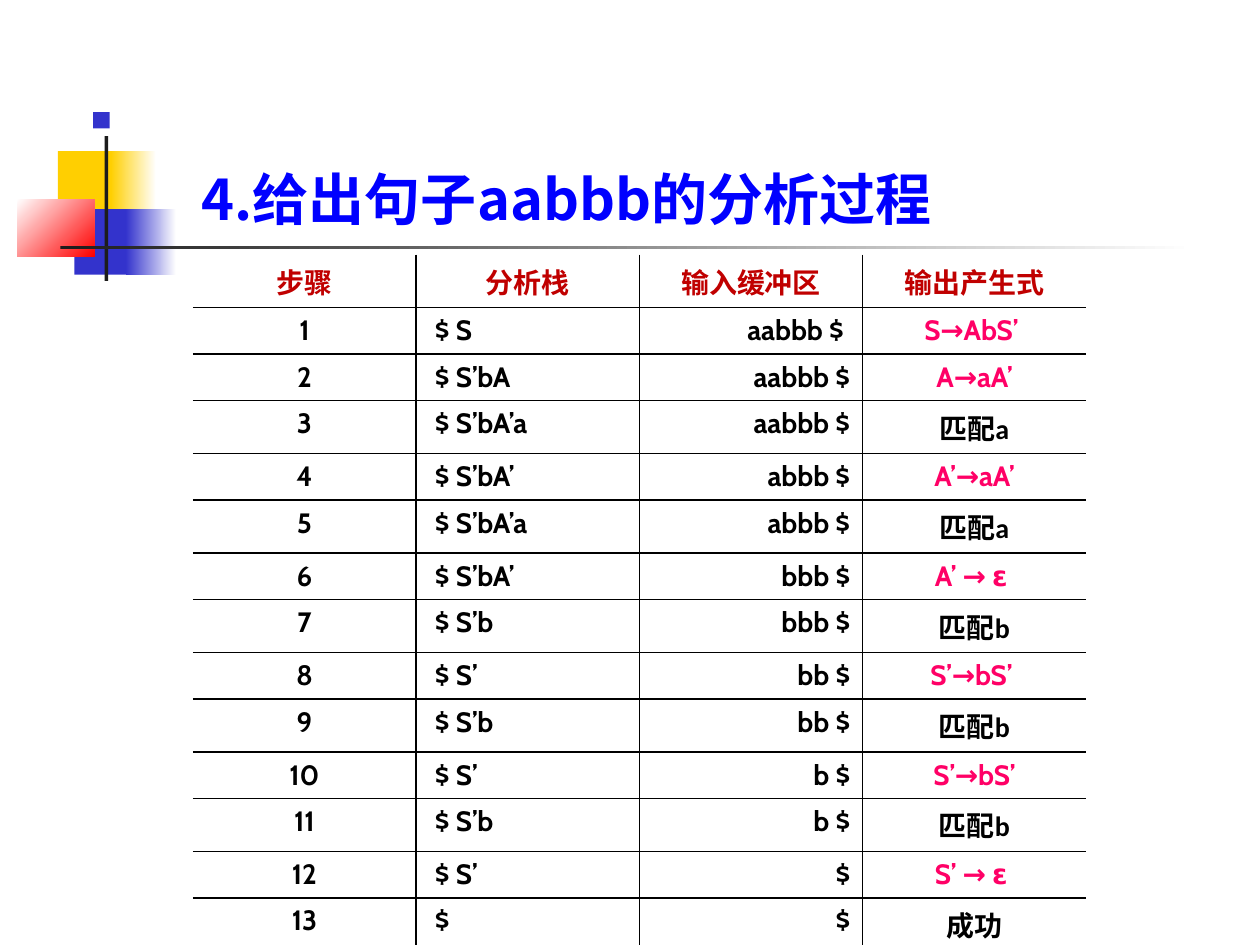
from lxml.etree import SubElement
from pptx import Presentation
from pptx.dml.color import RGBColor
from pptx.enum.shapes import MSO_SHAPE
from pptx.enum.text import MSO_ANCHOR, PP_ALIGN
from pptx.oxml.ns import qn
from pptx.util import Inches, Pt

BLACK, WHITE, BLUE, YELLOW = "000000", "FFFFFF", "3333CC", "FFCF01"
DARK, RED, PINK, HEAD, TITLE = "1C1C1C", "FF0000", "FF0066", "C00000", "0000FF"
CJK = "Noto Sans CJK JP"


def rgb(color):
    return RGBColor.from_string(color)


def add_run(p, text, size, font, color):
    r = p.add_run()
    r.text = text
    r.font.size, r.font.bold, r.font.name = Pt(size), True, font
    r.font.color.rgb = rgb(color)
    SubElement(r.font._element, qn("a:ea"), typeface=CJK)


prs = Presentation()
prs.slide_width, prs.slide_height = Inches(10), Inches(7.5)
s = prs.slides.add_slide(prs.slide_layouts[5])

# Decoration: left, top, width, height, colours, gradient angle
decoration = [
    (0.46, 1.2, 0.48, 0.52, [YELLOW], 0),
    (0.88, 1.2, 0.36, 0.52, [YELLOW, WHITE], 0),
    (0.59, 1.66, 0.46, 0.52, [BLUE], 0),
    (1, 1.66, 0.4, 0.52, [BLUE, WHITE], 0),
    (0.14, 1.58, 0.61, 0.46, [WHITE, RED], 315),
    (0.83, 1.08, 0.03, 1.15, [DARK], 0),
    (0.48, 1.95, 9, 0.03, [DARK, WHITE], 0),
    (0.74, 0.89, 0.13, 0.13, [BLUE], 0),
]
for *box, colors, angle in decoration:
    sp = s.shapes.add_shape(MSO_SHAPE.RECTANGLE, *map(Inches, box))
    sp.shadow.inherit = False
    sp.line.fill.background()
    if len(colors) == 1:
        sp.fill.solid()
        sp.fill.fore_color.rgb = rgb(colors[0])
    else:
        sp.fill.gradient()
        sp.fill.gradient_angle = angle
        for stop, color in zip(sp.fill.gradient_stops, colors):
            stop.color.rgb = rgb(color)

# Title with a square bullet
title = s.shapes.title
title.left, title.top = Inches(0.62), Inches(1.2)
title.width, title.height = Inches(9), Inches(0.74)
tf = title.text_frame
tf.word_wrap = True
tf.vertical_anchor = MSO_ANCHOR.MIDDLE
p = tf.paragraphs[0]
p.alignment = PP_ALIGN.LEFT
add_run(p, "4.给出句子aabbb的分析过程", 32, CJK, TITLE)
pPr = p._p.get_or_add_pPr()
pPr.set("marL", str(Inches(0.88)))
pPr.set("indent", str(-Inches(0.88)))
SubElement(SubElement(pPr, qn("a:buClr")), qn("a:srgbClr"), val=BLUE)
SubElement(pPr, qn("a:buSzPct"), val="60000")
SubElement(pPr, qn("a:buFont"), typeface="Wingdings")
SubElement(pPr, qn("a:buChar"), char="n")

# Parsing table
header = ("步骤", "分析栈", "输入缓冲区", "输出产生式")
steps = [
    (" $ S", "aabbb $ ", "S→AbS’ "),
    (" $ S’bA", "aabbb $", "A→aA’"),
    (" $ S’bA’a", "aabbb $", "匹配a"),
    (" $ S’bA’", "abbb $", "A’→aA’"),
    (" $ S’bA’a", "abbb $", "匹配a"),
    (" $ S’bA’", "bbb $", "A’ → ε "),
    (" $ S’b", "bbb $", "匹配b"),
    (" $ S’", "bb $", "S’→bS’ "),
    (" $ S’b", "bb $", "匹配b"),
    (" $ S’", "b $", "S’→bS’"),
    (" $ S’b", "b $", "匹配b"),
    (" $ S’", "$", "S’ → ε "),
    (" $", "$", "成功"),
]
rows = [header] + [(str(n), *step) for n, step in enumerate(steps, 1)]
n_rows, n_cols = len(rows), len(header)
aligns = (PP_ALIGN.CENTER, PP_ALIGN.LEFT, PP_ALIGN.RIGHT, PP_ALIGN.CENTER)

frame = s.shapes.add_table(n_rows, n_cols, Inches(1.53), Inches(2.02),
                           Inches(7.09), Inches(5.13))
table = frame.table
table.first_row = table.horz_banding = False
for i, row in enumerate(rows):
    for j, text in enumerate(row):
        cell = table.cell(i, j)
        p = cell.text_frame.paragraphs[0]
        p.alignment = aligns[j] if i else PP_ALIGN.CENTER
        font, color = "Cabin", BLACK
        if i == 0:
            color = HEAD
        elif j == n_cols - 1:
            if "→" in text:
                color = PINK
            else:
                font = "Calibri"
        add_run(p, text, 16, font, color)

        # Inner rules only, no outer frame
        tcPr = cell._tc.get_or_add_tcPr()
        inner = {"lnL": j > 0, "lnR": j < n_cols - 1,
                 "lnT": i > 0, "lnB": i < n_rows - 1}
        for side, shown in inner.items():
            ln = SubElement(tcPr, qn(f"a:{side}"), w=str(Pt(1)))
            if shown:
                fill = SubElement(ln, qn("a:solidFill"))
                SubElement(fill, qn("a:srgbClr"), val=BLACK)
            else:
                SubElement(ln, qn("a:noFill"))
        cell.fill.background()

prs.save("out.pptx")
